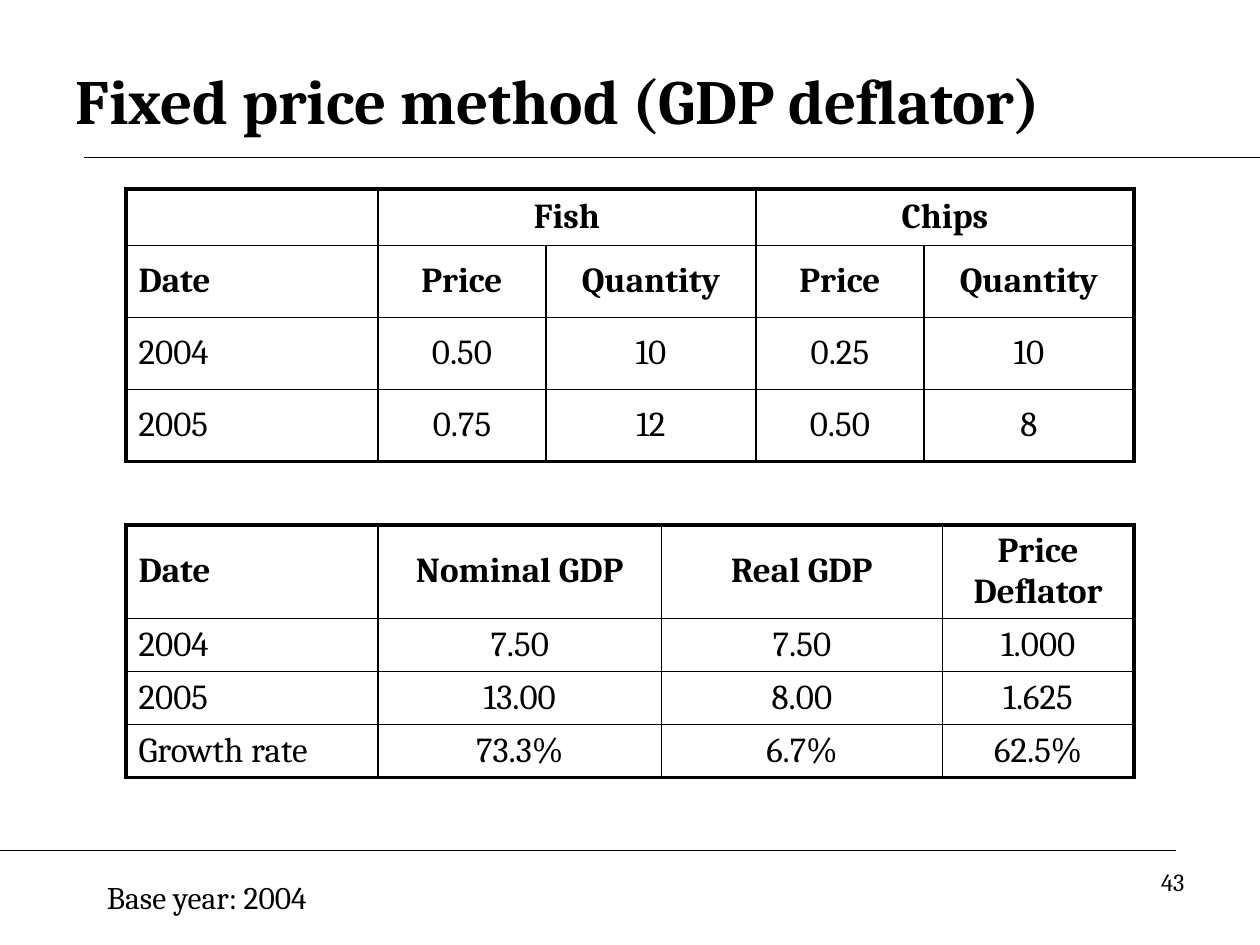
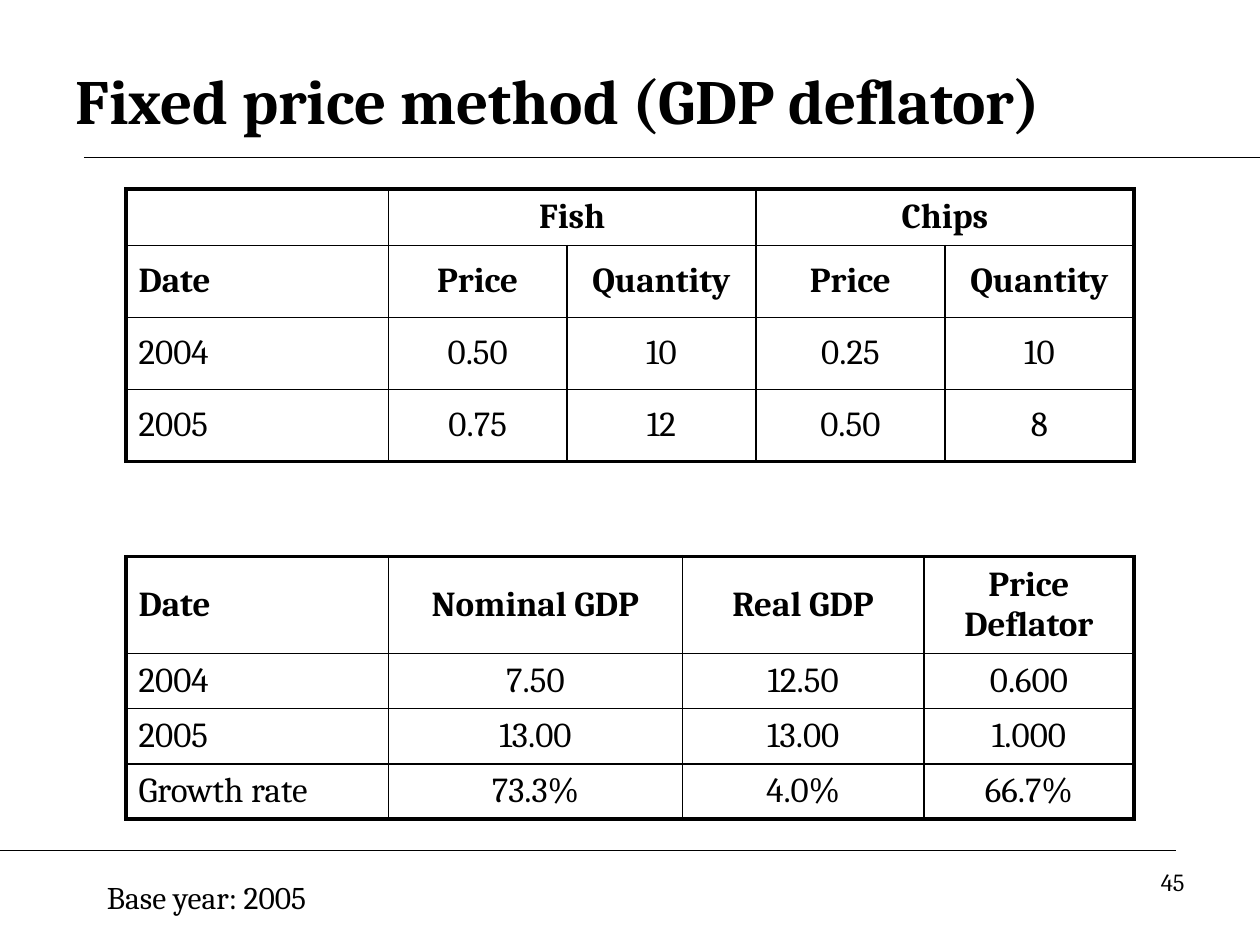
from lxml import etree
from pptx import Presentation
from pptx.dml.color import RGBColor
from pptx.enum.text import MSO_ANCHOR, MSO_AUTO_SIZE, PP_ALIGN
from pptx.enum.shapes import MSO_CONNECTOR
from pptx.oxml.ns import qn
from pptx.util import Inches, Pt

LEFT, CENTER, RIGHT = PP_ALIGN.LEFT, PP_ALIGN.CENTER, PP_ALIGN.RIGHT
TOP, MIDDLE = MSO_ANCHOR.TOP, MSO_ANCHOR.MIDDLE
NO_FIT = MSO_AUTO_SIZE.NONE
STRAIGHT = MSO_CONNECTOR.STRAIGHT

TITLE = "Fixed price method (GDP deflator)"
PRICES = [
    ["", "Fish", None, "Chips", None],
    ["Date", "Price", "Quantity", "Price", "Quantity"],
    ["2004", "0.50", "10", "0.25", "10"],
    ["2005", "0.75", "12", "0.50", "8"],
]
GDP_HEADER = ["Date", "Nominal GDP", "Real GDP", "Price Deflator"]
PRICE_ROWS = [5.4, 6.85, 6.85, 6.85]
SLIDES = [
    {
        "base": "Base year: 2004", "page": "43",
        "price_cols": [24, 16, 20, 16, 20],
        "gdp": [
            GDP_HEADER,
            ["2004", "7.50", "7.50", "1.000"],
            ["2005", "13.00", "8.00", "1.625"],
            ["Growth rate", "73.3%", "6.7%", "62.5%"],
        ],
        "gdp_top": 50, "gdp_cols": [24, 27, 26.75, 18.25],
        "gdp_rows": [8.85, 5.05, 5.05, 5.05],
    },
    {
        "base": "Base year: 2005", "page": "45",
        "price_cols": [25, 17, 18, 18, 18],
        "gdp": [
            GDP_HEADER,
            ["2004", "7.50", "12.50", "0.600"],
            ["2005", "13.00", "13.00", "1.000"],
            ["Growth rate", "73.3%", "4.0%", "66.7%"],
        ],
        "gdp_top": 53, "gdp_cols": [25, 28, 23, 20],
        "gdp_rows": [9.25, 5.25, 5.25, 5.25],
    },
]

THEME = {
    "font": "Cambria", "ink": "000000",
    "title": 36, "table": 20, "base": 18, "page": 14,
    "rule": 0.75, "inner": 1, "outer": 2.25,
}
TITLE_BOX = (6, 4, 108, 11)
BASE_BOX = (9, 83, 63, 4.8)
PAGE_BOX = (86, 82, 28, 6.2)
RULES = [(8, 15, 120, 15), (0, 81, 112, 81)]
TABLE_LEFT, PRICE_TOP = 12, 18


def grid(n):
    return Inches(n / 12)


def write(tf, text, size, align=LEFT, bold=False):
    p = tf.paragraphs[0]
    p.alignment = align
    r = p.add_run()
    r.text = text
    for key, value in {"name": THEME["font"], "size": Pt(THEME[size]), "bold": bold}.items():
        setattr(r.font, key, value)
    r.font.color.rgb = RGBColor.from_string(THEME["ink"])


def format_frame(tf, anchor):
    for key, value in {"word_wrap": True, "auto_size": NO_FIT, "vertical_anchor": anchor}.items():
        setattr(tf, key, value)


def add_text(s, box, text, size, align=LEFT):
    tf = s.shapes.add_textbox(*map(grid, box)).text_frame
    format_frame(tf, TOP)
    write(tf, text, size, align)


def add_title(s):
    sp = s.shapes.title
    for key, value in zip(("left", "top", "width", "height"), TITLE_BOX):
        setattr(sp, key, grid(value))
    format_frame(sp.text_frame, MIDDLE)
    write(sp.text_frame, TITLE, "title", bold=True)


def add_layout_rules(s):
    tree = s.slide_layout.shapes.element
    for number, ends in enumerate(RULES, 20):
        line = s.shapes.add_connector(STRAIGHT, *map(grid, ends))
        line.line.width = Pt(THEME["rule"])
        line.line.color.rgb = RGBColor.from_string(THEME["ink"])
        etree.SubElement(line.element.spPr, qn("a:effectLst"))
        line.element.xpath(".//p:cNvPr")[0].set("id", str(number))
        tree.append(line.element)


def set_borders(cell, outer_sides):
    tcPr = cell._tc.get_or_add_tcPr()
    for i, side in enumerate("LRTB"):
        width = THEME["outer" if side in outer_sides else "inner"]
        ln = etree.Element(qn(f"a:ln{side}"), w=str(Pt(width)))
        fill = etree.SubElement(ln, qn("a:solidFill"))
        etree.SubElement(fill, qn("a:srgbClr"), val=THEME["ink"])
        tcPr.insert(i, ln)


def add_table(s, top, rows, cols, heights, header_rows):
    box = (TABLE_LEFT, top, sum(cols), sum(heights))
    table = s.shapes.add_table(len(rows), len(cols), *map(grid, box)).table
    table.first_row = table.horz_banding = False
    for column, width in zip(table.columns, cols):
        column.width = grid(width)
    for row, height in zip(table.rows, heights):
        row.height = grid(height)
    for y, row in enumerate(rows):
        for x, text in enumerate(row):
            cell = table.cell(y, x)
            last = x + 1 if row[x + 1:x + 2] == [None] else x
            if last > x:
                cell.merge(table.cell(y, last))
            cell.fill.background()
            edges = {"L": x == 0, "R": last == len(cols) - 1,
                     "T": y == 0, "B": y == len(rows) - 1}
            set_borders(cell, [side for side, outer in edges.items() if outer])
            cell.vertical_anchor = MIDDLE
            if text:
                write(cell.text_frame, text, "table", CENTER if x else LEFT, y < header_rows)


def main():
    prs = Presentation()
    prs.slide_width, prs.slide_height = Inches(10), Inches(7.5)
    for i, data in enumerate(SLIDES):
        s = prs.slides.add_slide(prs.slide_layouts[5])
        if i == 0:
            add_layout_rules(s)
        add_title(s)
        add_table(s, PRICE_TOP, PRICES, data["price_cols"], PRICE_ROWS, 2)
        add_table(s, data["gdp_top"], data["gdp"], data["gdp_cols"], data["gdp_rows"], 1)
        add_text(s, BASE_BOX, data["base"], "base")
        add_text(s, PAGE_BOX, data["page"], "page", RIGHT)
    prs.save("out.pptx")


if __name__ == "__main__":
    main()
